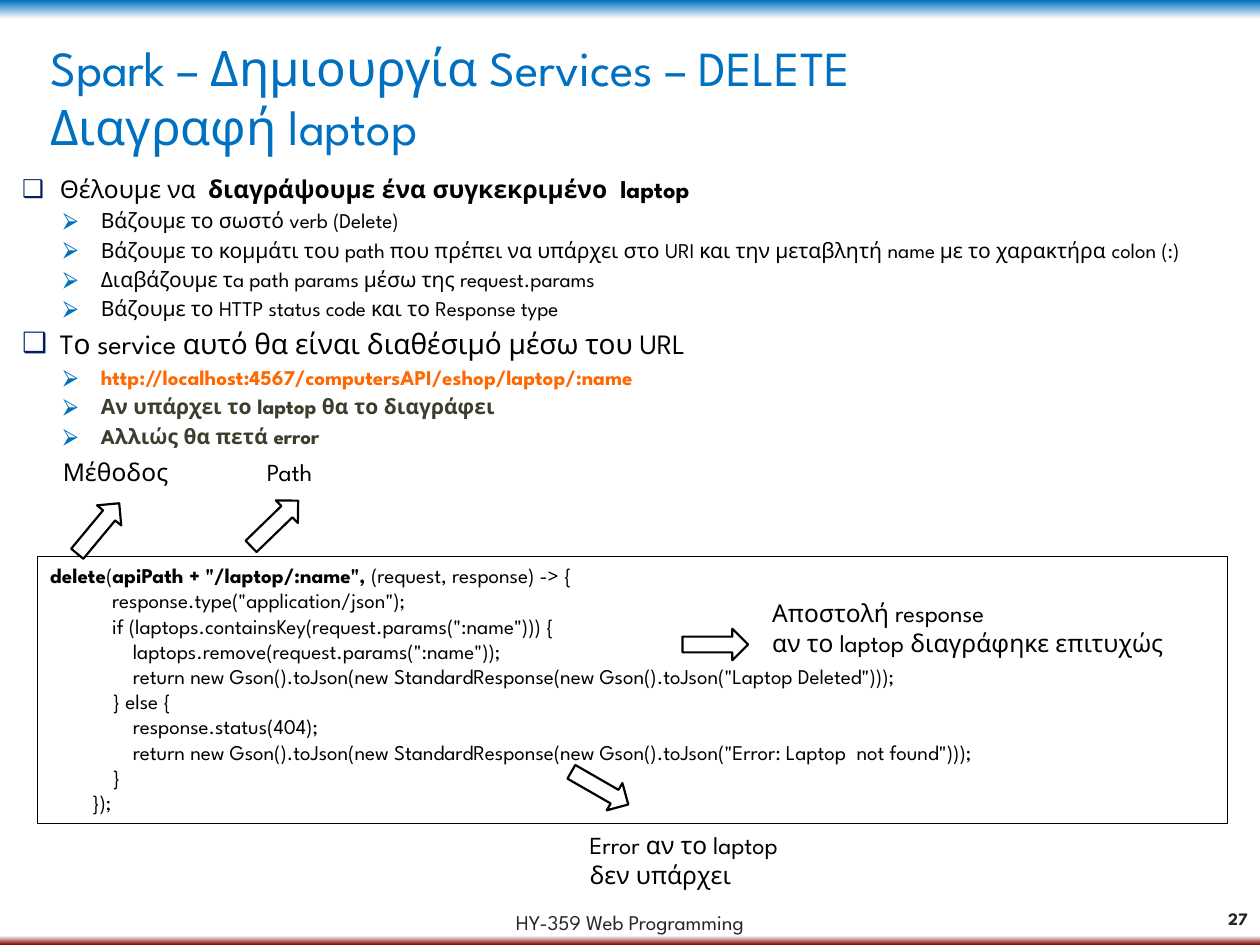
from lxml.etree import SubElement
from pptx import Presentation
from pptx.dml.color import RGBColor
from pptx.enum.shapes import MSO_SHAPE as Preset
from pptx.enum.text import MSO_ANCHOR as Anchor, MSO_AUTO_SIZE as AutoSize, PP_ALIGN as Align
from pptx.oxml.ns import qn
from pptx.util import Pt


def color(value):
    return RGBColor.from_string(value)


def write(paragraph, runs, size, ink="000000", bold=False, align=Align.LEFT):
    """Fill a paragraph with runs; a run is a text or a (text, bold) pair."""
    paragraph.alignment = align
    for item in runs:
        text, heavy = (item, bold) if isinstance(item, str) else item
        run = paragraph.add_run()
        run.text = text
        run.font.color.rgb = color(ink)
        for name, value in {"name": "League Spartan", "size": Pt(size), "bold": heavy}.items():
            setattr(run.font, name, value)


presentation = Presentation()
presentation.slide_width, presentation.slide_height = Pt(720), Pt(540)
slide = presentation.slides.add_slide(presentation.slide_layouts[1])
shapes = slide.shapes
title, body = shapes.title, slide.placeholders[1]

# Background gradient with thin blue and red edges
background = slide.background.fill
background.gradient()
background.gradient_angle = 270
stops = slide.element.find(".//" + qn("a:gsLst"))
for stop in list(stops):
    stops.remove(stop)
for percent, value in [(0, "0070C0"), (2, "FFFFFF"), (99, "FFFFFF"), (100, "800000")]:
    stop = SubElement(stops, qn("a:gs"), pos=str(percent * 1000))
    SubElement(stop, qn("a:srgbClr"), val=value)

# White panel, sent behind the placeholders
panel = shapes.add_shape(Preset.RECTANGLE, Pt(36), Pt(26), Pt(664), Pt(486.5))
panel.shadow.inherit = False
panel.fill.solid()
panel.fill.fore_color.rgb = color("FFFFFF")
panel.line.fill.background()
title.element.addprevious(panel.element)

# Title and body placeholders
for shape, box in [(title, (21.6, 18, 677.5, 51)), (body, (0, 95.8, 708.5, 408))]:
    shape.left, shape.top, shape.width, shape.height = map(Pt, box)
    frame_format = {"vertical_anchor": Anchor.TOP, "word_wrap": True, "auto_size": AutoSize.NONE}
    for name, value in frame_format.items():
        setattr(shape.text_frame, name, value)

title_lines = ["Spark – Δημιουργία Services – DELETE", "Διαγραφή laptop"]
for index, line in enumerate(title_lines):
    frame = title.text_frame
    paragraph = frame.add_paragraph() if index else frame.paragraphs[0]
    write(paragraph, [line], 28, "0070C0")

# Bulleted list: level, runs, size, colour, bold, space before
bullets = [
    (0, ["Θέλουμε να  ", ("διαγράψουμε ένα συγκεκριμένο  laptop", True)], 14, "000000", False, 0),
    (1, ["Βάζουμε το σωστό verb (Delete)"], 12, "000000", False, 2.4),
    (1, ["Βάζουμε το κομμάτι του path που πρέπει να υπάρχει στο URI και την μεταβλητή name "
         "με το χαρακτήρα colon (:)"], 12, "000000", False, 2.4),
    (1, ["Διαβάζουμε τa path params μέσω της request.params"], 12, "000000", False, 2.4),
    (1, ["Βάζουμε το HTTP status code και το Response type"], 12, "000000", False, 2.4),
    (0, ["Tο service αυτό θα είναι διαθέσιμό μέσω του URL"], 16, "000000", False, 3.2),
    (1, ["http://localhost:4567/computersAPI/eshop/laptop/:name"], 12, "FF6700", True, 2.4),
    (1, ["Αν υπάρχει το laptop θα το διαγράφει"], 12, "3E3D2D", True, 2.4),
    (1, ["Aλλιώς θα πετά error"], 12, "3E3D2D", True, 2.4),
]
bullet_styles = [(27, "❑", "002060"), (50.4, "⮚", "0070C0")]
for index, (level, runs, size, ink, bold, space) in enumerate(bullets):
    frame = body.text_frame
    paragraph = frame.add_paragraph() if index else frame.paragraphs[0]
    paragraph.level = level
    write(paragraph, runs, size, ink, bold)
    paragraph.space_before = Pt(space)
    indent, mark, mark_color = bullet_styles[level]
    properties = paragraph._p.get_or_add_pPr()
    properties.set("marL", str(Pt(indent)))
    properties.set("indent", str(Pt(-21.6)))
    SubElement(SubElement(properties, qn("a:buClr")), qn("a:srgbClr"), val=mark_color)
    SubElement(properties, qn("a:buChar"), char=mark)

# Code box: indent in character widths, runs
code = shapes.add_shape(Preset.RECTANGLE, Pt(21.6), Pt(318), Pt(680), Pt(152.8))
code.shadow.inherit = False
code.fill.background()
code.line.color.rgb = color("000000")
code.line.width = Pt(0.75)
code.text_frame.vertical_anchor = Anchor.TOP
code.text_frame.word_wrap = True
code_lines = [
    (0, [("delete", True), "(", ('apiPath + "/laptop/:name",', True), " (request, response) -> {"]),
    (12, ['response.type("application/json");']),
    (12, ['if (laptops.containsKey(request.params(":name"))) {']),
    (16, ['laptops.remove(request.params(":name"));']),
    (16, ['return new Gson().toJson(new StandardResponse(new Gson().toJson("Laptop Deleted")));']),
    (12, ["} else {"]),
    (16, ["response.status(404);"]),
    (16, ['return new Gson().toJson(new StandardResponse('
          'new Gson().toJson("Error: Laptop  not found")));']),
    (12, ["}"]),
    (8, ["});"]),
]
for index, (indent, runs) in enumerate(code_lines):
    frame = code.text_frame
    paragraph = frame.add_paragraph() if index else frame.paragraphs[0]
    write(paragraph, runs, 12)
    paragraph._p.get_or_add_pPr().set("marL", str(Pt(indent * 2.95)))

# Arrows from the code to its labels
for left, top, rotation in [(37.4, 293, 309.7), (138.2, 290.2, 315.9),
                            (390, 359.3, 0), (324, 441.4, 29.9)]:
    arrow = shapes.add_shape(Preset.RIGHT_ARROW, Pt(left), Pt(top), Pt(37.5), Pt(18))
    arrow.rotation = rotation
    arrow.shadow.inherit = False
    arrow.fill.solid()
    arrow.fill.fore_color.rgb = color("FFFFFF")
    arrow.line.color.rgb = color("000000")
    arrow.line.width = Pt(1.25)

# Labels, footer and slide number: box, lines, size, colour, bold, alignment, anchor
black, gray = "000000", "262626"
labels = [
    ((28.8, 257.8, 77, 24.5), ["Μέθοδος"], 14, black, False, Align.LEFT, Anchor.TOP),
    ((145.4, 257.8, 46, 24.5), ["Path"], 14, black, False, Align.LEFT, Anchor.TOP),
    ((329.8, 470.9, 138.2, 41), ["Error αν το laptop", "δεν υπάρχει"],
     14, black, False, Align.LEFT, Anchor.TOP),
    ((434.2, 338.4, 247.7, 41), ["Αποστολή response", "αν το laptop διαγράφηκε επιτυχώς"],
     14, black, False, Align.LEFT, Anchor.TOP),
    ((0, 510.5, 720, 32.4), ["HY-359 Web Programming"],
     12, gray, False, Align.CENTER, Anchor.MIDDLE),
    ((681, 510.5, 39, 28.8), ["27"], 10, gray, True, Align.RIGHT, Anchor.MIDDLE),
]
for box, lines, size, ink, bold, align, anchor in labels:
    frame = shapes.add_textbox(*map(Pt, box)).text_frame
    frame.word_wrap = True
    frame.vertical_anchor = anchor
    for index, line in enumerate(lines):
        paragraph = frame.add_paragraph() if index else frame.paragraphs[0]
        write(paragraph, [line], size, ink, bold, align)

presentation.save("out.pptx")
